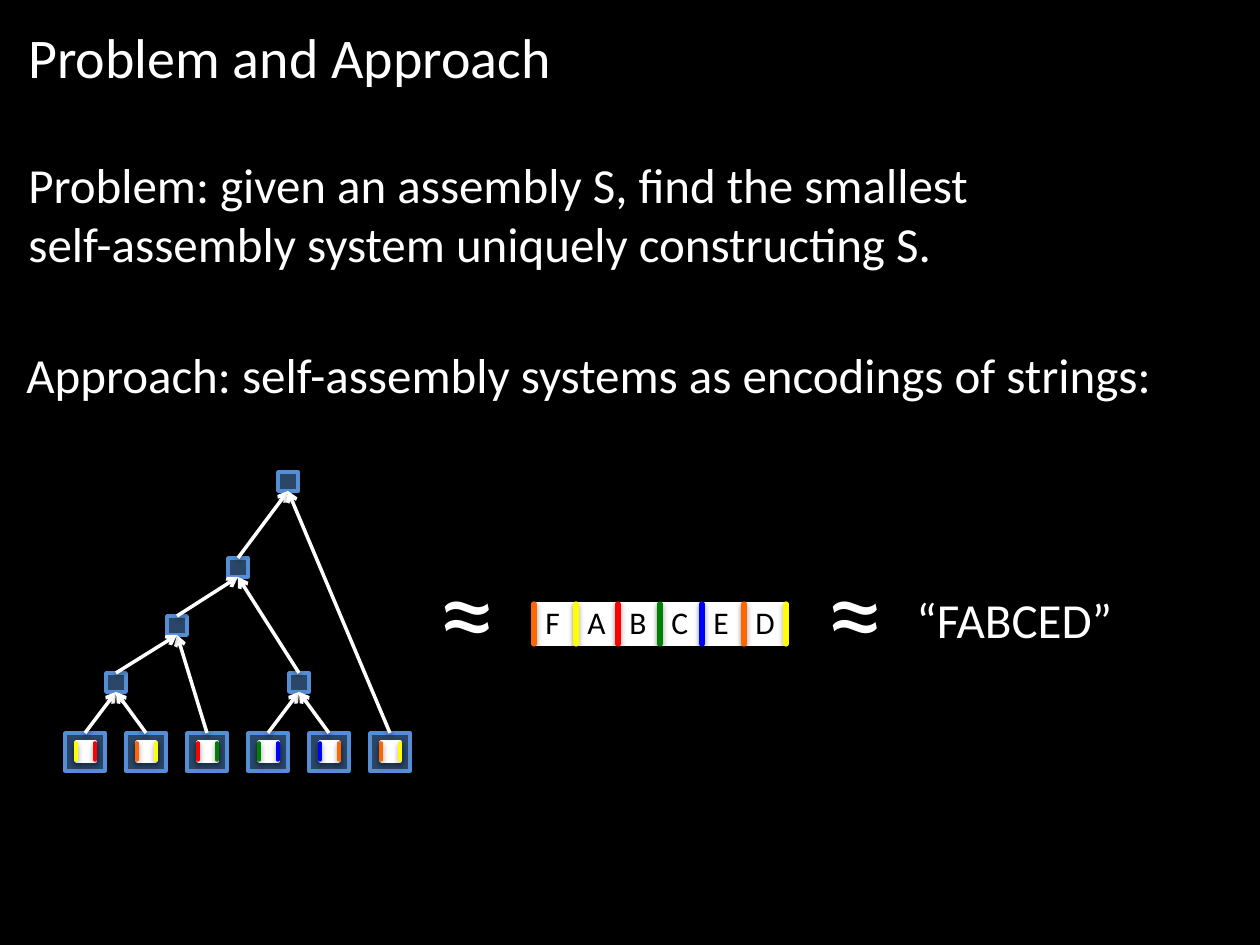
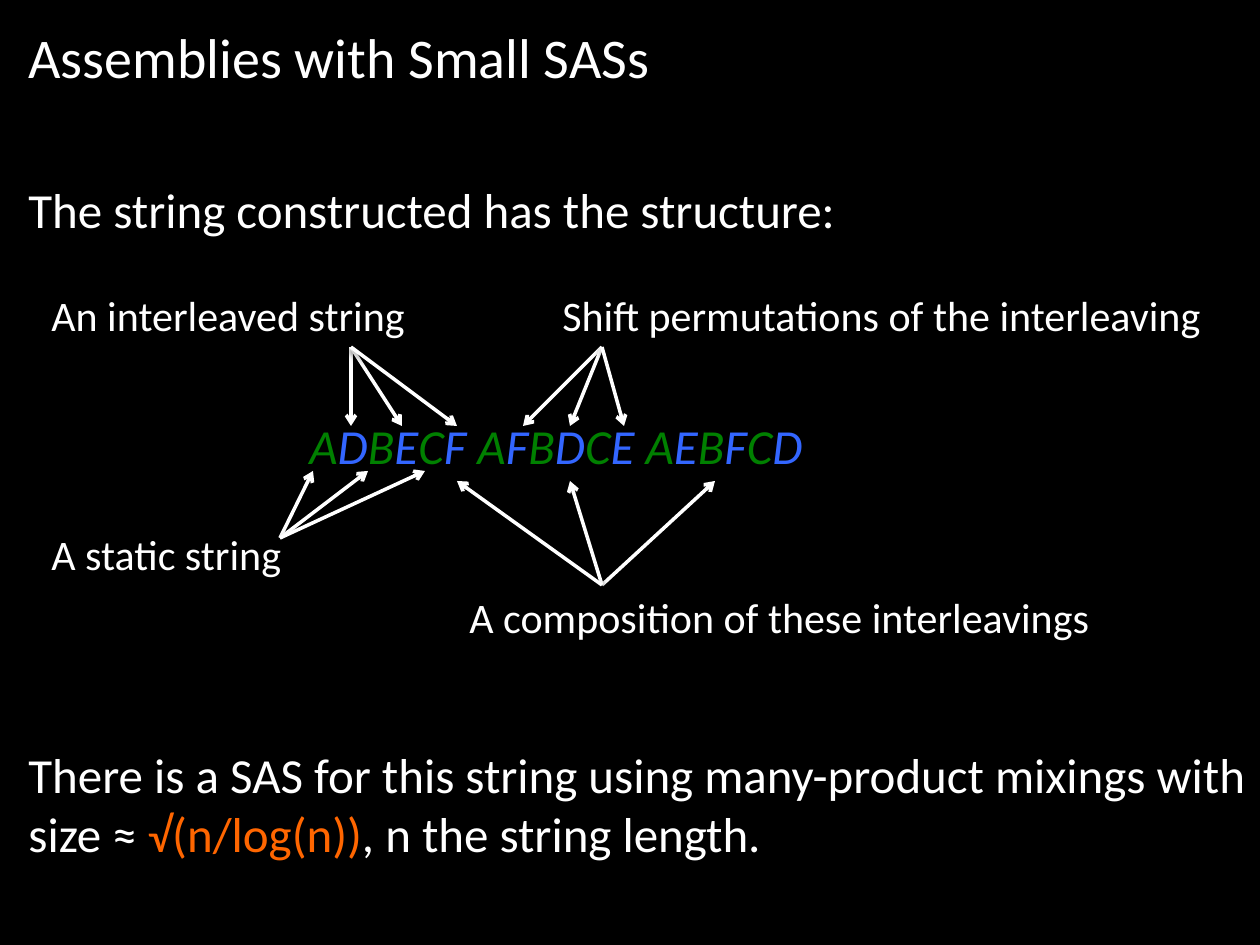
"""Build two slides on self-assembly systems seen as encodings of strings."""
import lxml.etree
import pptx
import pptx.dml.color
import pptx.enum.shapes
import pptx.oxml.ns
import pptx.util

FONT = "Calibri"
HUES = {
    "black": "000000", "white": "FFFFFF", "node": "558ED5",
    "yellow": "FFFF00", "red": "FF0000", "green": "008000",
    "blue": "0000FF", "orange": "FF6600", "sky": "3366FF",
}
GLUES = {
    "A": ("yellow", "red"), "B": ("red", "green"), "C": ("green", "blue"),
    "D": ("orange", "yellow"), "E": ("blue", "orange"), "F": ("orange", "yellow"),
}
RECT = pptx.enum.shapes.MSO_SHAPE.RECTANGLE
STRAIGHT = pptx.enum.shapes.MSO_CONNECTOR.STRAIGHT


def px(*sizes):
    """Turn pixels into a list of EMU lengths."""
    return [pptx.util.Emu(round(size * 914400 / 126)) for size in sizes]


def rgb(hue):
    """Look up a colour by name."""
    return pptx.dml.color.RGBColor.from_string(HUES[hue])


def add_xml(node, tag, **attrs):
    """Append a drawing element with its attributes."""
    return lxml.etree.SubElement(node, pptx.oxml.ns.qn(tag), attrs)


def shade(shape, dist, alpha):
    """Give a shape a soft black shadow below it."""
    effect = add_xml(shape.element.spPr, "a:effectLst")
    outer = add_xml(effect, "a:outerShdw", blurRad="40000", dist=str(dist),
                    dir="5400000", rotWithShape="0")
    add_xml(add_xml(outer, "a:srgbClr", val=HUES["black"]), "a:alpha", val=str(alpha))


def add_text(slide, box, lines, size, hue="white", italic=None):
    """Write lines, each a string or a list of (text, hue) runs."""
    frame = slide.shapes.add_textbox(*px(*box)).text_frame
    frame.word_wrap = True
    for index, line in enumerate(lines):
        para = frame.paragraphs[0] if index == 0 else frame.add_paragraph()
        para.font.name, para.font.size = FONT, pptx.util.Pt(size)
        para.font.italic = italic
        if isinstance(line, str):
            para.font.color.rgb = rgb(hue)
            para.add_run().text = line
            continue
        for words, tint in line:
            run = para.add_run()
            run.text = words
            run.font.color.rgb = rgb(tint)


def add_rect(slide, box, hue, width, alpha=None):
    """Draw a shaded rectangle whose fill may be see-through."""
    rect = slide.shapes.add_shape(RECT, *px(*box))
    rect.fill.solid()
    rect.fill.fore_color.rgb = rect.line.color.rgb = rgb(hue)
    rect.line.width = pptx.util.Pt(width)
    if alpha:
        color = rect.element.spPr.find(".//" + pptx.oxml.ns.qn("a:srgbClr"))
        add_xml(color, "a:alpha", val=str(alpha))
    shade(rect, 23000, 35000)
    return rect


def add_line(slide, ends, hue="white", width=2, arrow=False):
    """Draw a shaded line, either an arrow or a strip with round ends."""
    line = slide.shapes.add_connector(STRAIGHT, *px(*ends))
    line.line.color.rgb = rgb(hue)
    line.line.width = pptx.util.Pt(width)
    stroke = line.element.spPr.find(pptx.oxml.ns.qn("a:ln"))
    if arrow:
        add_xml(stroke, "a:tailEnd", type="arrow")
    else:
        stroke.set("cap", "rnd")
    shade(line, 20000, 38000)
    return line


def add_tile(slide, box, letter, width, edge, sides=2):
    """Draw a white tile with glue on its left side, or on both."""
    left, top, side = box
    add_rect(slide, (left, top, side, side), "white", edge)
    for x, hue in list(zip((left, left + side), GLUES[letter]))[:sides]:
        add_line(slide, (x, top + 1, x, top + side - 1), hue, width)


def add_tree(slide, left, top):
    """Draw the mixing tree, from six leaf tiles up to the root."""
    spots = {"AF": (41, 201), "AFB": (102, 144), "mix": (163, 86),
             "root": (213, 0), "CE": (224, 201)}
    rises = {"A": "AF", "F": "AF", "B": "AFB", "AF": "AFB", "C": "CE", "E": "CE",
             "AFB": "mix", "CE": "mix", "mix": "root", "D": "root"}
    nodes = {name: add_rect(slide, (left + x, top + y, 20, 19), "node", 2, 50000)
             for name, (x, y) in spots.items()}
    for index, letter in enumerate("AFBCED"):
        x, y = left + 61 * index, top + 261
        nodes[letter] = add_rect(slide, (x, y, 40, 38), "node", 2, 50000)
        add_tile(slide, (x + 11, y + 9, 19), letter, 2, 2)
    for child, parent in rises.items():
        arrow = add_line(slide, (0, 0, 1, 1), arrow=True)
        arrow.begin_connect(nodes[child], 0)
        arrow.end_connect(nodes[parent], 2)


def add_row(slide, left, top, side, word):
    """Set lettered tiles side by side, sharing glues, to spell a word."""
    for index, letter in enumerate(word):
        x = left + side * index
        sides = 2 if index == len(word) - 1 else 1
        add_tile(slide, (x, top, side), letter, 3, 0.75, sides)
        add_text(slide, (x - 1, top - 6, 48, 50), [letter], 18, "black")


def add_fan(slide, box, words, hub, tips, rise):
    """Write a label and spread arrows from its hub to tips at one height."""
    left, top = box[:2]
    add_text(slide, box, [words], 24)
    for tip in tips:
        ends = (left + hub[0], top + hub[1], left + tip, top + rise)
        add_line(slide, ends, arrow=True)


def add_slide(deck, title):
    """Add a black slide with its title."""
    slide = deck.slides.add_slide(deck.slide_layouts[6])
    slide.background.fill.solid()
    slide.background.fill.fore_color.rgb = rgb("black")
    add_text(slide, (16, 16, 1244, 81), [title], 32)
    return slide


def show_problem(deck):
    """Build the slide that states the problem and the approach."""
    slide = add_slide(deck, "Problem and Approach")
    add_text(slide, (16, 148, 1244, 131),
             ["Problem: given an assembly S, find the smallest",
              "self-assembly system uniquely constructing S."], 28)
    add_text(slide, (14, 338, 1174, 72),
             ["Approach: self-assembly systems as encodings of strings:"], 28)
    add_tree(slide, 65, 472)
    add_row(slide, 534, 603, 42, "FABCED")
    for left in (426, 814):
        add_text(slide, (left, 533, 155, 152), ["≈"], 66)
    add_text(slide, (904, 583, 284, 72), ["“FABCED”"], 28)


def show_string(deck):
    """Build the slide on the structure of the string."""
    slide = add_slide(deck, "Assemblies with Small SASs")
    add_fan(slide, (39, 522, 290, 63), "A static string",
            (241, 16), (274, 329, 386), -51)
    add_fan(slide, (39, 283, 510, 63), "An interleaved string",
            (312, 64), (312, 363, 418), 143)
    add_fan(slide, (550, 283, 710, 63), "Shift permutations of the interleaving",
            (52, 64), (-27, 20, 74), 143)
    add_fan(slide, (457, 585, 784, 63), "A composition of these interleavings",
            (145, 0), (258, 113, 0), -104)
    add_text(slide, (16, 738, 1244, 131),
             ["There is a SAS for this string using many-product mixings with",
              [("size ≈ ", "white"), ("√(n/log(n))", "orange"),
               (", n the string length.", "white")]], 28)
    add_text(slide, (16, 173, 1244, 72),
             ["The string constructed has the structure:"], 28)
    runs = [(part, "green" if part in "ABC" else "sky")
            for part in ("A", "D", "B", "E", "C", "F ", "A", "F", "B",
                         "D", "C", "E ", "A", "E", "B", "F", "C", "D")]
    add_text(slide, (297, 409, 561, 72), [runs], 28, italic=True)


def main():
    """Build and save the deck."""
    deck = pptx.Presentation()
    deck.slide_width, deck.slide_height = px(1260, 945)
    show_problem(deck)
    show_string(deck)
    deck.save("out.pptx")


if __name__ == "__main__":
    main()
